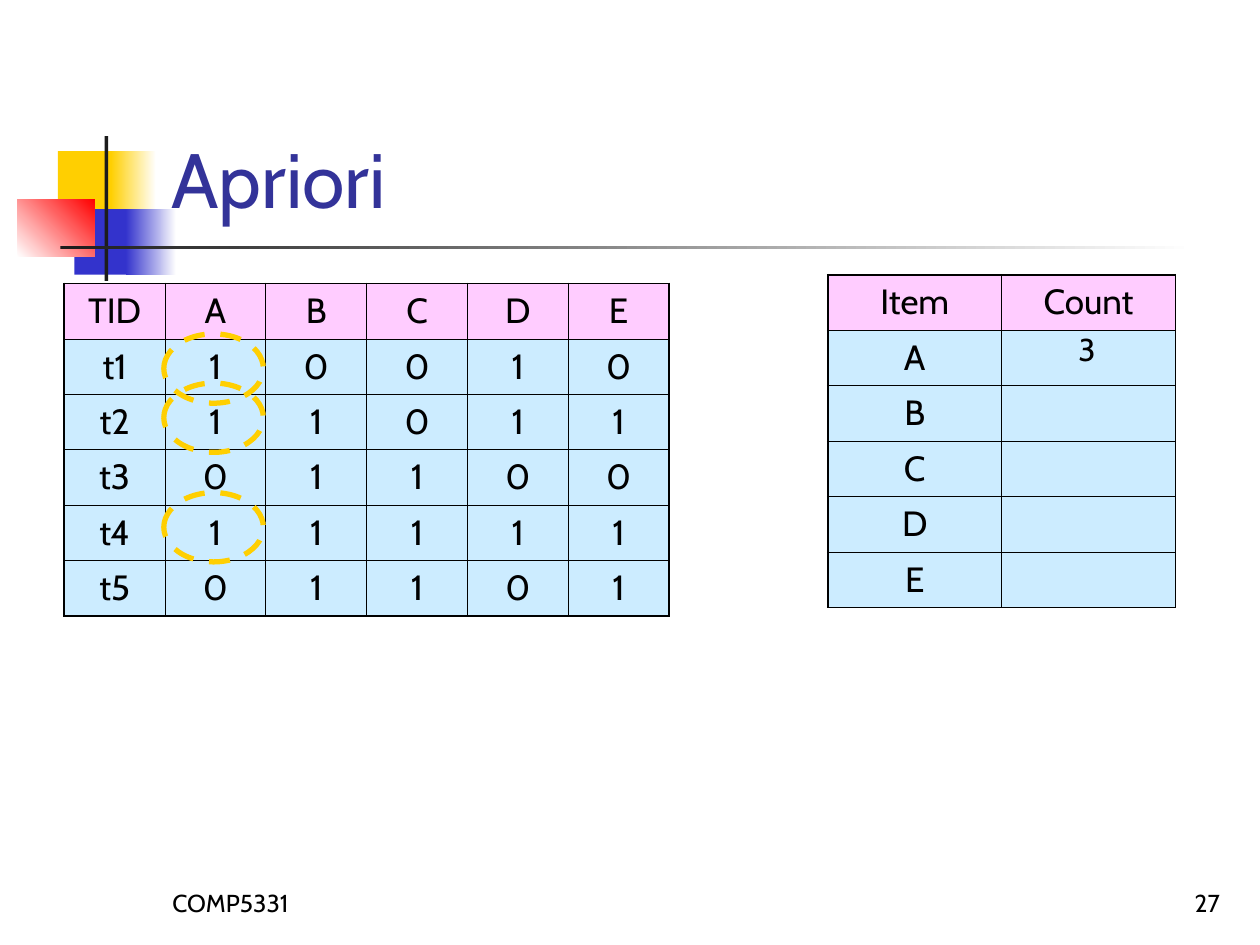
from pptx import Presentation
from pptx.dml.color import RGBColor as RGB
from pptx.enum.dml import MSO_LINE as Dash
from pptx.enum.shapes import MSO_SHAPE as Kind
from pptx.enum.text import MSO_ANCHOR as Anchor, MSO_AUTO_SIZE as Fit, PP_ALIGN as Align
from pptx.oxml.ns import qn
from pptx.util import Emu, Pt
from lxml.etree import SubElement

SCALE = 9144
FONT = "Cabin"
BLACK = RGB(0, 0, 0)
WHITE = RGB(255, 255, 255)
INK = RGB(0x1C, 0x1C, 0x1C)
GOLD = RGB(0xFF, 0xCF, 0x01)
BLUE = RGB(0x33, 0x33, 0xCC)
RED = RGB(0xFF, 0, 0)
NAVY = RGB(0x33, 0x33, 0x99)
PINK = RGB(0xFF, 0xCC, 0xFF)
SKY = RGB(0xCC, 0xEC, 0xFF)
THICK, THIN = 1.08, 0.45


def px(*nums):
    """Turn px lengths into EMU."""
    return [Emu(n * SCALE) for n in nums]


def add_run(para, text, size, color=BLACK):
    """Add one styled run to a paragraph."""
    run = para.add_run()
    run.text = text
    run.font.name = FONT
    run.font.size = Pt(size)
    run.font.color.rgb = color


def add_text(slide, box, text, size, color=BLACK, align=Align.LEFT, anchor=Anchor.BOTTOM, wrap=True):
    """Place a line of text in a box."""
    frame = slide.shapes.add_textbox(*px(*box)).text_frame
    frame.word_wrap = wrap
    frame.auto_size = Fit.NONE if wrap else Fit.SHAPE_TO_FIT_TEXT
    frame.vertical_anchor = anchor
    para = frame.paragraphs[0]
    para.alignment = align
    add_run(para, text, size, color)


def add_block(slide, box, start, end=None, angle=0):
    """Place a borderless rectangle, plain or fading to a second colour."""
    block = slide.shapes.add_shape(Kind.RECTANGLE, *px(*box))
    block.shadow.inherit = False
    block.line.fill.background()
    if end is None:
        block.fill.solid()
        block.fill.fore_color.rgb = start
        return
    block.fill.gradient()
    block.fill.gradient_angle = angle
    for stop, color in zip(block.fill.gradient_stops, (start, end)):
        stop.color.rgb = color


def add_motif(slide, left, top):
    """Draw the coloured squares and the two crossing bars."""
    parts = [
        (32, 12, 48, 52, GOLD),
        (74, 12, 36, 52, GOLD, WHITE),
        (45, 58, 46, 52, BLUE),
        (86, 58, 40, 52, BLUE, WHITE),
        (0, 50, 61, 46, WHITE, RED, 45),
        (69, 0, 3, 115, INK),
        (34, 87, 900, 3, INK, WHITE),
    ]
    for x, y, wide, high, *tint in parts:
        add_block(slide, (left + x, top + y, wide, high), *tint)


def set_edges(cell, left, right, top, bottom):
    """Give a cell four black borders of the given widths."""
    props = cell._tc.get_or_add_tcPr()
    for side, width in zip("LRTB", (left, right, top, bottom)):
        line = SubElement(props, qn(f"a:ln{side}"), w=str(int(Pt(width))))
        paint = SubElement(line, qn("a:solidFill"))
        SubElement(paint, qn("a:srgbClr"), val=str(BLACK))


def add_grid(slide, left, top, wide, high, rows):
    """Build a framed table with a pink header and equal cells."""
    last, end = len(rows) - 1, len(rows[0]) - 1
    box = px(left, top, wide * (end + 1), high * (last + 1))
    table = slide.shapes.add_table(last + 1, end + 1, *box).table
    for col in table.columns:
        col.width = px(wide)[0]
    for i, row in enumerate(rows):
        table.rows[i].height = px(high)[0]
        for j, text in enumerate(row):
            cell = table.cell(i, j)
            outer = (j == 0, j == end, i == 0, i == last)
            set_edges(cell, *(THICK if side else THIN for side in outer))
            cell.fill.solid()
            cell.fill.fore_color.rgb = SKY if i else PINK
            para = cell.text_frame.paragraphs[0]
            para.alignment = Align.CENTER
            para.font.size = Pt(20)
            if text:
                add_run(para, text, 20)


def add_ring(slide, left, top):
    """Circle one table value with a dashed oval."""
    ring = slide.shapes.add_shape(Kind.OVAL, *px(left, top, 79, 55))
    ring.shadow.inherit = False
    ring.fill.background()
    ring.line.color.rgb = GOLD
    ring.line.width = Pt(3)
    ring.line.dash_style = Dash.DASH


def main():
    """Build and save the slide."""
    deck = Presentation()
    deck.slide_width, deck.slide_height = px(1000, 750)
    slide = deck.slides.add_slide(deck.slide_layouts[6])
    add_motif(slide, 14, 108)
    add_text(slide, (127, 683, 208, 50), "COMP5331", 14)
    add_text(slide, (770, 683, 208, 50), "27", 14, align=Align.RIGHT)
    add_text(slide, (126, 23, 852, 160), "Apriori", 44, NAVY)
    bits = ["10010", "11011", "01100", "11111", "01101"]
    deals = [["TID", *"ABCDE"]] + [[f"t{n}", *row] for n, row in enumerate(bits, 1)]
    add_grid(slide, 51, 225, 80, 44, deals)
    add_grid(slide, 657, 218, 138, 44, [["Item", "Count"]] + [[item, ""] for item in "ABCDE"])
    for top in (265, 304, 391):
        add_ring(slide, 130, top)
    add_text(slide, (846, 257, 34, 40), "3", 18, anchor=Anchor.TOP, wrap=False)
    deck.save("out.pptx")


if __name__ == "__main__":
    main()
